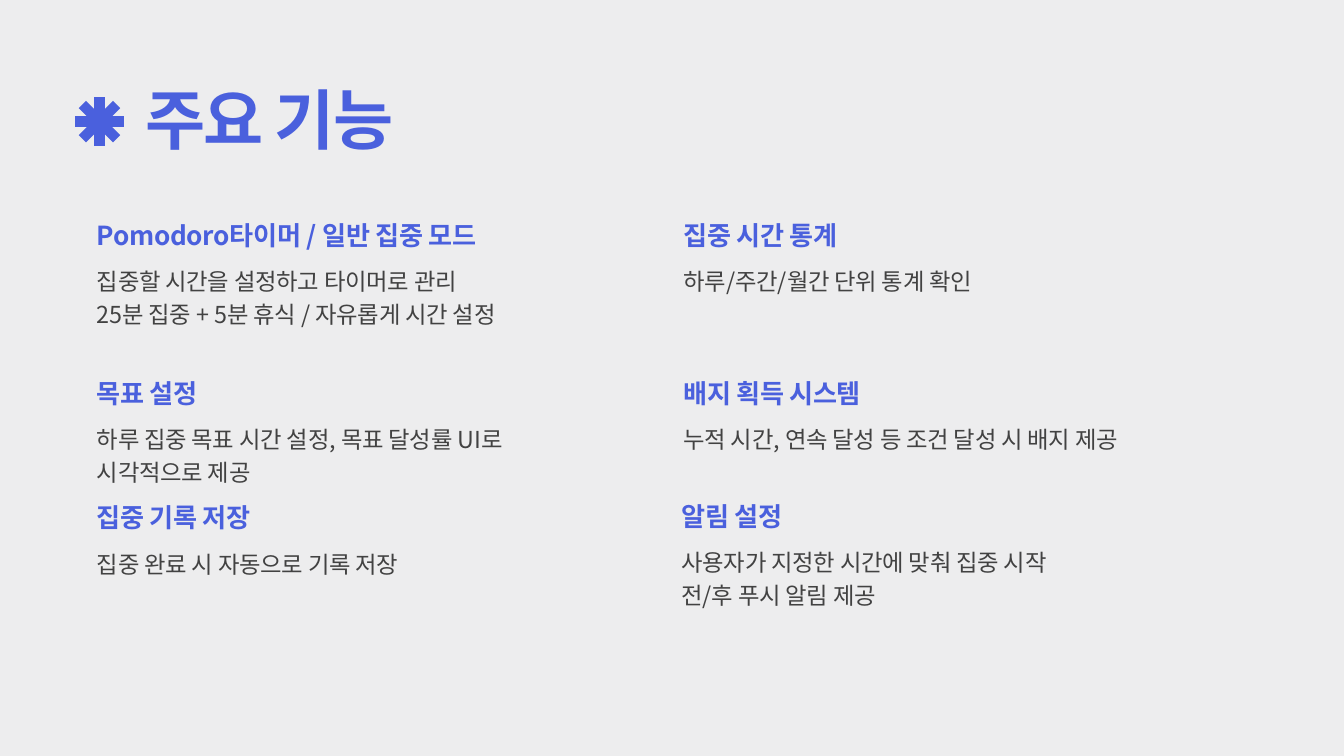
import math
from dataclasses import dataclass

from lxml import etree
from pptx import Presentation
from pptx import util as u
from pptx.dml.color import RGBColor
from pptx.enum import shapes, text
from pptx.oxml import ns


@dataclass(frozen=True)
class Style:
    """Type size, line spacing, tracking, colour and weight of a text role."""
    size: float
    leading: float
    tracking: float
    color: str
    bold: bool


@dataclass(frozen=True)
class Theme:
    """Colours and type styles of the slide."""
    font: str = "Noto Sans CJK KR"
    background: str = "EDEDEE"
    accent: str = "4A60DD"
    title: Style = Style(70, 70, -2.1, "4A60DD", True)
    heading: Style = Style(28, 38.9, -0.3, "4A60DD", True)
    body: Style = Style(25, 35, -0.2, "424242", False)


THEME = Theme()
FEATURES = [
    (1.44, 3.19, 3.91, "Pomodoro타이머 / 일반 집중 모드",
     "집중할 시간을 설정하고 타이머로 관리\n25분 집중 + 5분 휴식 / 자유롭게 시간 설정"),
    (10.17, 3.19, 3.91, "집중 시간 통계", "하루/주간/월간 단위 통계 확인"),
    (1.44, 5.54, 6.26, "목표 설정",
     "하루 집중 목표 시간 설정, 목표 달성률 UI로\n시각적으로 제공"),
    (10.17, 5.54, 6.26, "배지 획득 시스템", "누적 시간, 연속 달성 등 조건 달성 시 배지 제공"),
    (1.44, 7.39, 8.12, "집중 기록 저장", "집중 완료 시 자동으로 기록 저장"),
    (10.14, 7.38, 8.09, "알림 설정",
     "사용자가 지정한 시간에 맞춰 집중 시작\n전/후 푸시 알림 제공"),
]


def write_text(box, wording, style):
    """Fill a box with one styled paragraph without insets."""
    frame = box.text_frame
    frame.word_wrap = True
    frame.auto_size = text.MSO_AUTO_SIZE.NONE
    frame.vertical_anchor = text.MSO_ANCHOR.TOP
    frame.margin_left = frame.margin_right = 0
    frame.margin_top = frame.margin_bottom = 0
    para = frame.paragraphs[0]
    para.text = wording
    para.alignment = text.PP_ALIGN.LEFT
    para.line_spacing = u.Pt(style.leading)
    para.space_before = u.Pt(0)
    for span in para.runs:
        span.font.size = u.Pt(style.size)
        span.font.bold = style.bold
        span.font.color.rgb = RGBColor.from_string(style.color)
        span.font.name = THEME.font
        props = span.font._element
        props.set("spc", str(round(style.tracking * 100)))
        east_asian = etree.SubElement(props, ns.qn("a:ea"))
        east_asian.set("typeface", THEME.font)


def add_title(page, left, top, width, height):
    """Place the slide title in its placeholder."""
    title = page.shapes.title
    title.left, title.top = u.Inches(left), u.Inches(top)
    title.width, title.height = u.Inches(width), u.Inches(height)
    write_text(title, "주요 기능", THEME.title)


def add_asterisk(page, left, top, size):
    """Draw a grouped asterisk of four strokes through the centre of a square."""
    group = page.shapes.add_group_shape()
    radius = size / 2
    center_x, center_y = left + radius, top + radius
    for degrees in range(0, 180, 45):
        dx = radius * math.cos(math.radians(degrees))
        dy = radius * math.sin(math.radians(degrees))
        stroke = group.shapes.add_connector(
            shapes.MSO_CONNECTOR.STRAIGHT,
            u.Inches(center_x - dx), u.Inches(center_y - dy),
            u.Inches(center_x + dx), u.Inches(center_y + dy))
        stroke.line.color.rgb = RGBColor.from_string(THEME.accent)
        stroke.line.width = u.Pt(11)
        etree.SubElement(stroke._element.spPr, ns.qn("a:effectLst"))


def add_feature(page, left, top, body_top, width, heading, body):
    """Place a feature heading and its description in one column."""
    body_height = 0.96 if "\n" in body else 0.46
    for y, height, wording, style in (
            (top, 0.52, heading, THEME.heading),
            (body_top, body_height, body, THEME.body)):
        box = page.shapes.add_textbox(
            u.Inches(left), u.Inches(y), u.Inches(width), u.Inches(height))
        write_text(box, wording, style)


def main():
    """Build and save the feature slide."""
    deck = Presentation()
    deck.slide_width, deck.slide_height = u.Inches(20), u.Inches(11.25)
    page = deck.slides.add_slide(deck.slide_layouts.get_by_name("Title Only"))
    fill = page.background.fill
    fill.solid()
    fill.fore_color.rgb = RGBColor.from_string(THEME.background)
    add_title(page, 2.17, 1.37, 15.95, 1.02)
    add_asterisk(page, 1.12, 1.45, 0.72)
    for left, top, body_top, heading, body in FEATURES:
        width = 7.65 if left < 10 else 8.44
        add_feature(page, left, top, body_top, width, heading, body)
    deck.save("out.pptx")


if __name__ == "__main__":
    main()
